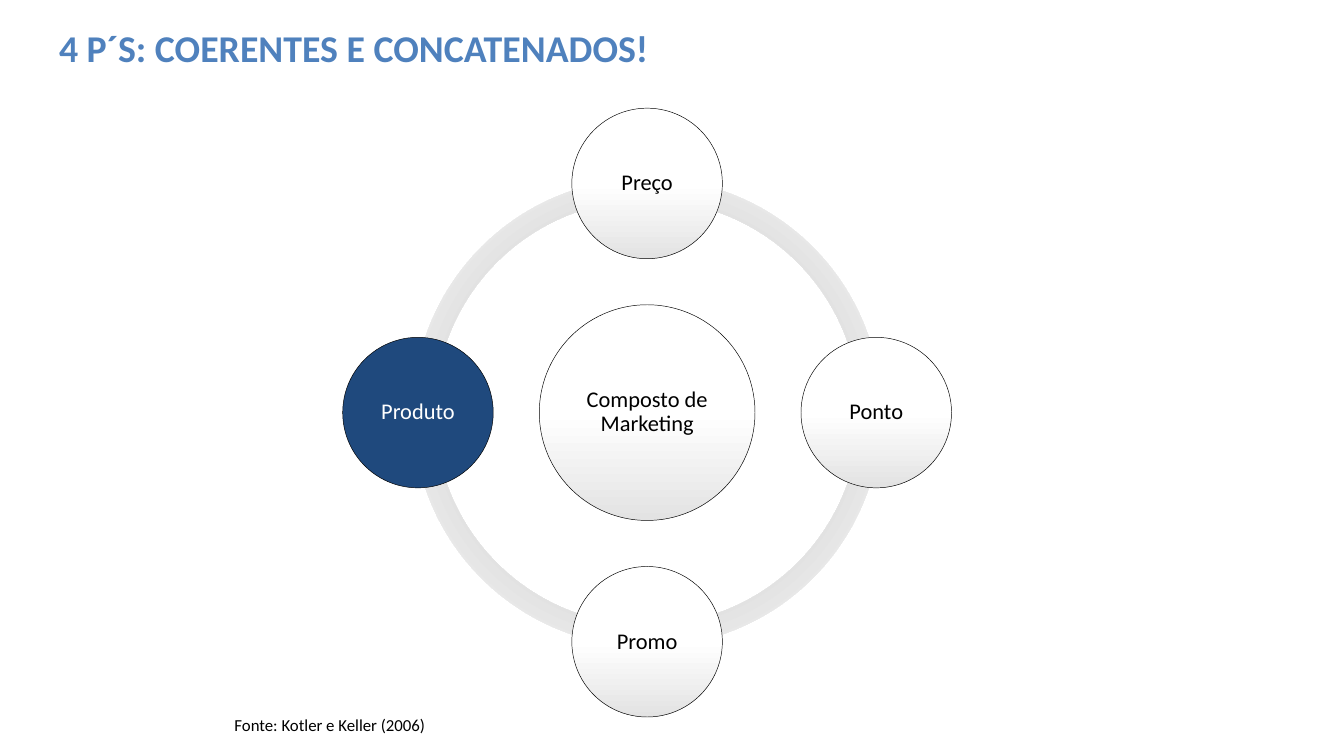
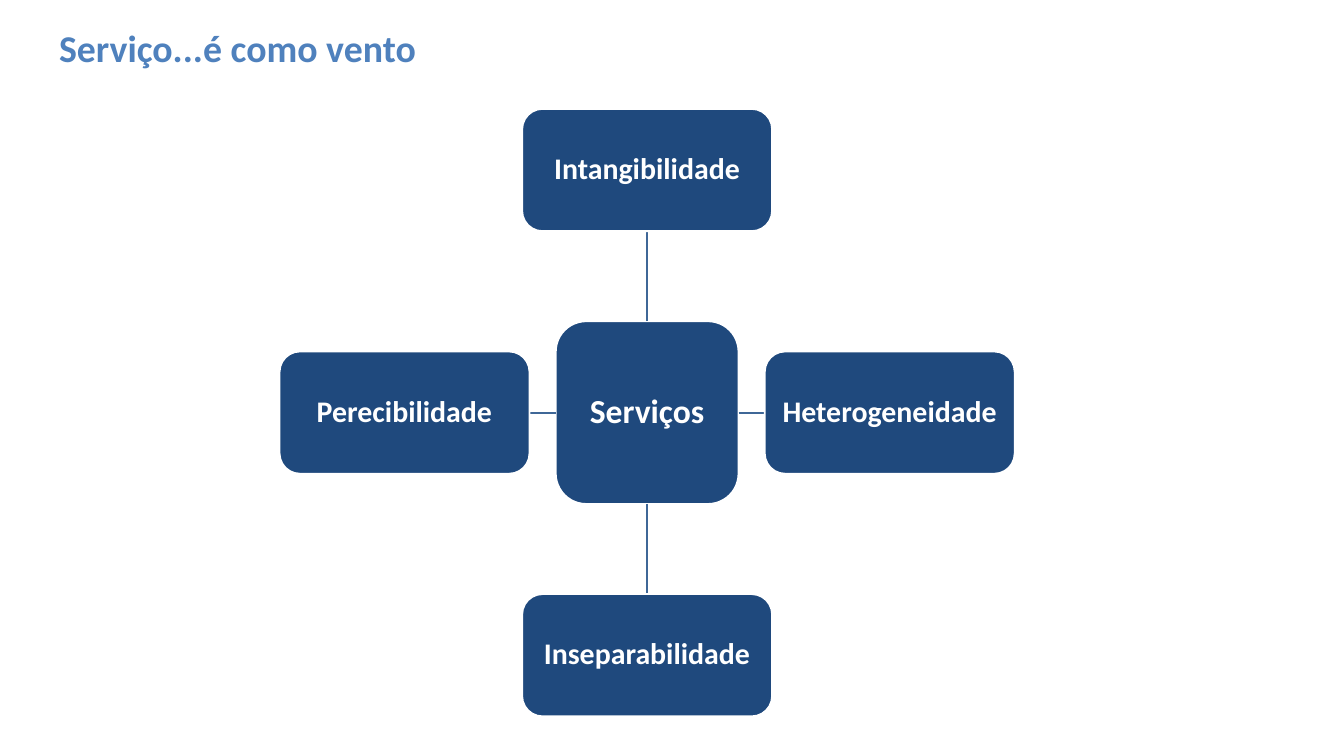
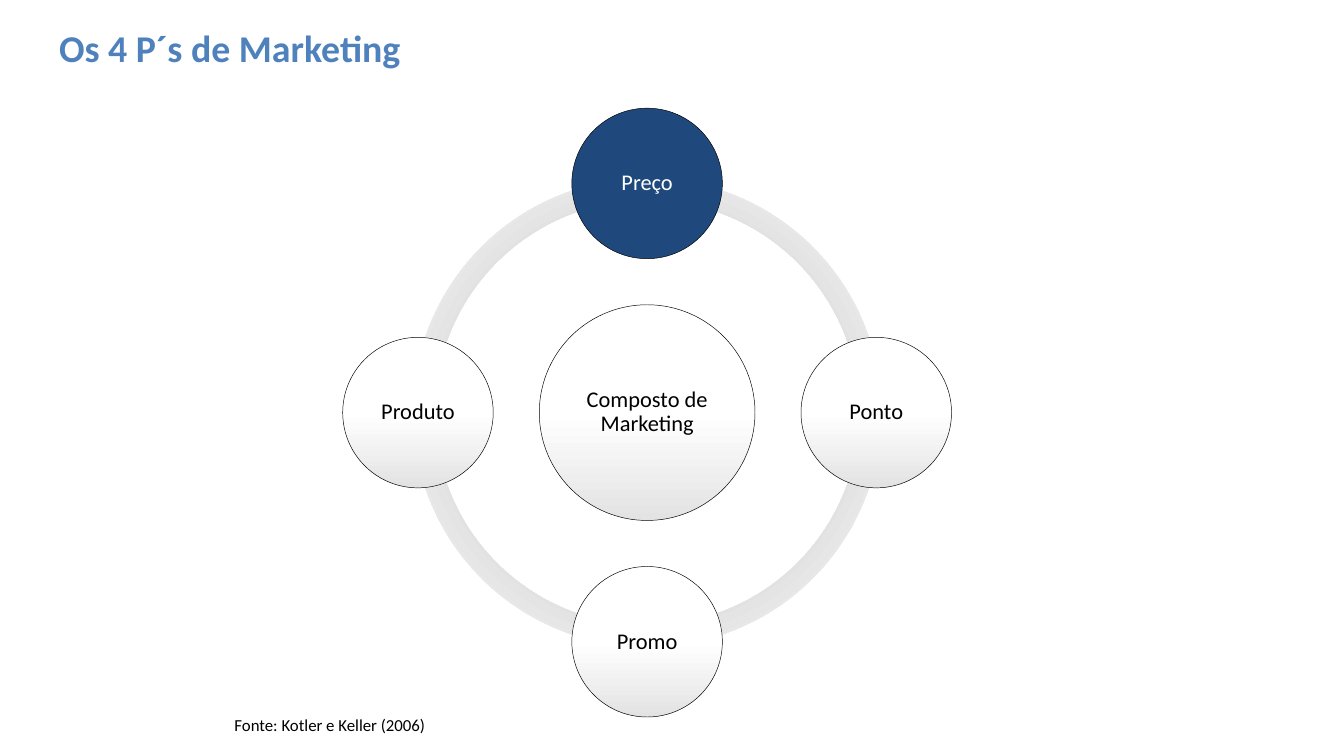
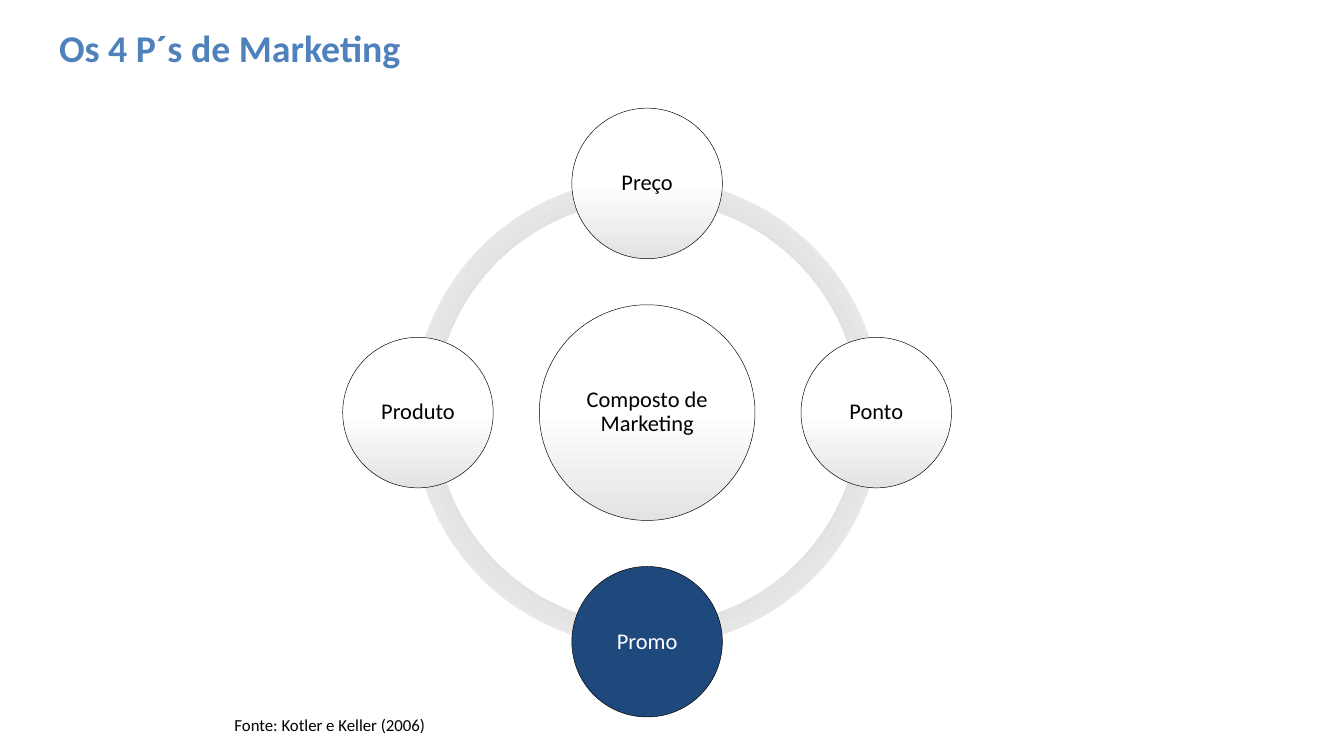
from dataclasses import dataclass
from typing import NamedTuple

from lxml import etree
from pptx import Presentation
from pptx.dml.color import RGBColor
from pptx.enum.shapes import MSO_CONNECTOR, MSO_SHAPE
from pptx.enum.text import MSO_ANCHOR, MSO_AUTO_SIZE, PP_ALIGN
from pptx.oxml import parse_xml
from pptx.oxml.ns import nsdecls, qn
from pptx.shapes.autoshape import Shape
from pptx.slide import Slide
from pptx.text.text import TextFrame
from pptx.util import Inches, Pt

OVAL, ARC, ROUND = MSO_SHAPE.OVAL, MSO_SHAPE.BLOCK_ARC, MSO_SHAPE.ROUNDED_RECTANGLE
STRAIGHT = MSO_CONNECTOR.STRAIGHT
MIDDLE, CENTER = MSO_ANCHOR.MIDDLE, PP_ALIGN.CENTER
GROW = MSO_AUTO_SIZE.SHAPE_TO_FIT_TEXT


@dataclass(frozen=True)
class Theme:
    font: str = "Calibri"
    title: str = "4F81BD"
    navy: str = "1F497D"
    link: str = "3F6797"
    black: str = "000000"
    white: str = "FFFFFF"
    ball: tuple = ("FFFFFF", "FFFFFF", "E3E3E3")
    ring: tuple = ("979797", "D7D7D7", "FFFFFF")
    title_size: float = 40.5
    hub_size: float = 36
    box_size: float = 32
    ball_size: float = 24
    note_size: float = 18


class Look(NamedTuple):
    kind: int
    size: float
    bold: bool
    edge: str
    weight: float
    inset: float


class Node(NamedTuple):
    text: str
    x: float
    y: float
    wide: float
    high: float


class Way(NamedTuple):
    dx: int
    dy: int
    site: int  # connection site of the hub on this side


class Cycle(NamedTuple):
    title: str
    focus: str


T = Theme()
BALL = Look(OVAL, T.ball_size, False, T.black, 0.5, 0.03)
BOX = Look(ROUND, T.box_size, True, T.white, 2, 0.09)
HUB = BOX._replace(size=T.hub_size, inset=0.1)

# Shared geometry: four satellites around one centre, clockwise from the top
MID_X, MID_Y = 9.63, 6.14
WAYS = (Way(0, -1, 0), Way(1, 0, 3), Way(0, 1, 2), Way(-1, 0, 1))
ARCS = ((108, 162), (54, 108), (0, 54), (162, 0))
RING, RING_BAND = 6.97, 0.046

MIX = ("Preço", "Ponto", "Promo", "Produto")
TRAITS = ("Intangibilidade", "Heterogeneidade", "Inseparabilidade", "Perecibilidade")


def paint(shape: Shape, color: str) -> None:
    shape.fill.solid()
    shape.fill.fore_color.rgb = RGBColor.from_string(color)


def shade(shape: Shape, colors: tuple, course: str) -> None:
    """Fill with three even gradient stops; course is the a:lin or a:path part."""
    shape.fill.solid()
    stops = "".join(
        f'<a:gs pos="{i * 50000}"><a:srgbClr val="{color}"/></a:gs>'
        for i, color in enumerate(colors))
    grad = parse_xml(f'<a:gradFill {nsdecls("a")} rotWithShape="1">'
                     f"<a:gsLst>{stops}</a:gsLst>{course}</a:gradFill>")
    props = shape.element.spPr
    props.replace(props.find(qn("a:solidFill")), grad)


def write(frame: TextFrame, text: str, size: float, color: str, bold: bool = False) -> None:
    frame.text = text
    font = frame.paragraphs[0].runs[0].font
    font.name, font.size, font.bold = T.font, Pt(size), bold
    font.color.rgb = RGBColor.from_string(color)


def add_title(slide: Slide, text: str) -> None:
    box = slide.shapes.add_textbox(Inches(0.78), Inches(0.35), Inches(13.65), Inches(0.71))
    frame = box.text_frame
    frame.word_wrap, frame.vertical_anchor = True, MIDDLE
    write(frame, text, T.title_size, T.title, True)


def add_note(slide: Slide) -> None:
    box = slide.shapes.add_textbox(Inches(3.39), Inches(10.59), Inches(3.08), Inches(0.4))
    frame = box.text_frame
    frame.word_wrap, frame.auto_size = False, GROW
    write(frame, "Fonte: Kotler e Keller (2006)", T.note_size, T.black)


def add_node(slide: Slide, node: Node, look: Look, solid: bool) -> Shape:
    shape = slide.shapes.add_shape(
        look.kind, Inches(node.x - node.wide / 2), Inches(node.y - node.high / 2),
        Inches(node.wide), Inches(node.high))
    shape.shadow.inherit = False
    if solid:
        paint(shape, T.navy)
    else:
        shade(shape, T.ball, '<a:lin ang="5400000" scaled="0"/>')
    shape.line.color.rgb = RGBColor.from_string(look.edge)
    shape.line.width = Pt(look.weight)
    frame = shape.text_frame
    frame.word_wrap, frame.vertical_anchor = True, MIDDLE
    frame.margin_left = frame.margin_right = Inches(look.inset)
    frame.margin_top = frame.margin_bottom = Inches(look.inset)
    write(frame, node.text, look.size, T.white if solid else T.black, look.bold)
    frame.paragraphs[0].alignment = CENTER
    frame.paragraphs[0].line_spacing = 0.9
    return shape


def add_ring(slide: Slide) -> None:
    course = ('<a:path path="circle"><a:fillToRect l="50000" t="50000" '
              'r="50000" b="50000"/></a:path>')
    for start, end in ARCS:
        arc = slide.shapes.add_shape(
            ARC, Inches(MID_X - RING / 2), Inches(MID_Y - RING / 2),
            Inches(RING), Inches(RING))
        arc.shadow.inherit = False
        for i, value in enumerate((start, end, RING_BAND)):
            arc.adjustments[i] = value
        shade(arc, T.ring, course)
        arc.line.fill.background()


def draw_cycle(slide: Slide, cycle: Cycle) -> None:
    reach, hub, ball = 3.41, 3.21, 2.24
    add_title(slide, cycle.title)
    add_note(slide)
    add_ring(slide)
    add_node(slide, Node("Composto de Marketing", MID_X, MID_Y, hub, hub), BALL, False)
    for way, text in zip(WAYS, MIX):
        node = Node(text, MID_X + way.dx * reach, MID_Y + way.dy * reach, ball, ball)
        add_node(slide, node, BALL, text == cycle.focus)


def draw_traits(slide: Slide) -> None:
    reach, side, wide, high = 3.61, 2.72, 3.72, 1.82
    add_title(slide, "Serviço...é como vento")
    hub = add_node(slide, Node("Serviços", MID_X, MID_Y, side, side), HUB, True)
    for way, text in zip(WAYS, TRAITS):
        # The line comes first so that it lies behind its box
        x, y = MID_X + way.dx * reach, MID_Y + way.dy * reach
        link = slide.shapes.add_connector(
            STRAIGHT, Inches(MID_X), Inches(MID_Y), Inches(x), Inches(y))
        link.line.color.rgb = RGBColor.from_string(T.link)
        link.line.width = Pt(2)
        etree.SubElement(link.element.spPr, qn("a:effectLst"))
        box = add_node(slide, Node(text, x, y, wide, high), BOX, True)
        link.begin_connect(hub, way.site)
        link.end_connect(box, (way.site + 2) % 4)


def main() -> None:
    deck = Presentation()
    deck.slide_width, deck.slide_height = Inches(20), Inches(11.25)
    blank = deck.slide_layouts[6]

    # Marketing mix, product in focus
    draw_cycle(deck.slides.add_slide(blank),
               Cycle("4 P´S: COERENTES E CONCATENADOS!", "Produto"))
    # Traits of services
    draw_traits(deck.slides.add_slide(blank))
    # Marketing mix, price and then promotion in focus
    for focus in ("Preço", "Promo"):
        draw_cycle(deck.slides.add_slide(blank), Cycle("Os 4 P´s de Marketing", focus))

    deck.save("out.pptx")


if __name__ == "__main__":
    main()
